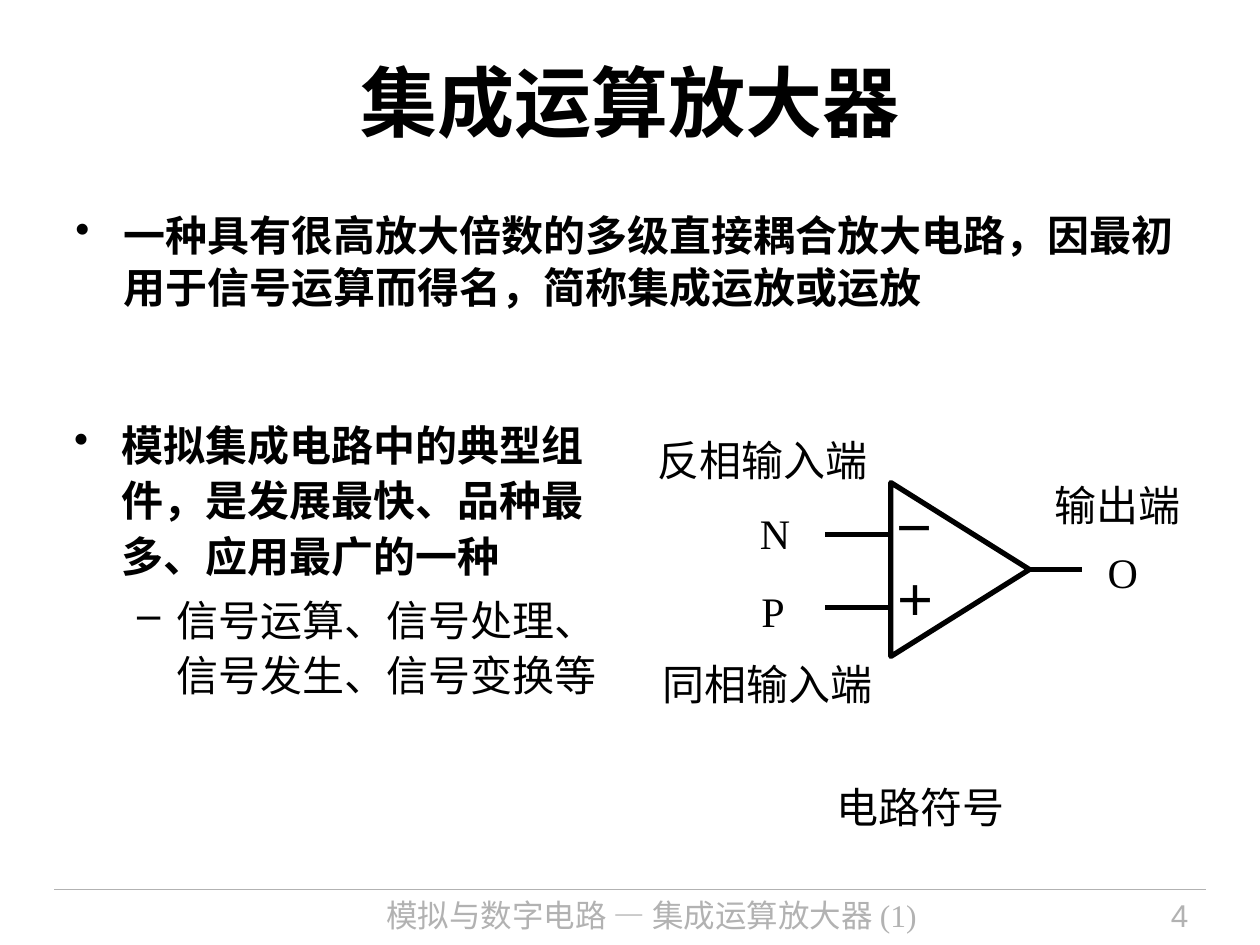
from dataclasses import dataclass

from lxml import etree
from pptx import Presentation
from pptx.dml.color import RGBColor
from pptx.enum.shapes import MSO_CONNECTOR, MSO_SHAPE
from pptx.enum.text import MSO_ANCHOR, PP_ALIGN
from pptx.oxml.ns import qn
from pptx.util import Inches, Pt

STRAIGHT = MSO_CONNECTOR.STRAIGHT
TRIANGLE = MSO_SHAPE.ISOSCELES_TRIANGLE
TOP, MIDDLE = MSO_ANCHOR.TOP, MSO_ANCHOR.MIDDLE
LEFT, CENTER, RIGHT = PP_ALIGN.LEFT, PP_ALIGN.CENTER, PP_ALIGN.RIGHT

SANS, SERIF = "Arial", "Times New Roman"
BLACK, GRAY = "000000", "B2B2B2"


@dataclass
class Label:
    text: str
    left: float
    top: float
    width: float
    height: float = 0.5
    font: str = SANS
    size: int = 24
    color: str = BLACK
    bold: bool = False
    align: PP_ALIGN = CENTER
    anchor: MSO_ANCHOR = TOP
    spacing: float = 1.0
    inset: bool = True
    wrap: bool = False


@dataclass
class Bullet:
    text: str
    mark: str
    margin: float
    hanging: float
    spacing: float
    bold: bool = True
    level: int = 0


@dataclass
class Wire:
    start: float
    end: float
    height: float
    color: str = BLACK
    weight: float = 3


LABELS = [
    Label("模拟与数字电路 — 集成运算放大器 (1)", 2.49, 7.06, 5.36, 0.44,
          SERIF, 18, GRAY, wrap=True),
    Label("4", 8.2, 7.06, 1.33, 0.44, SANS, 18, GRAY, align=RIGHT, wrap=True),
    Label("集成运算放大器", 0.5, 0.17, 9, 1.25, SERIF, 44, bold=True,
          anchor=MIDDLE, wrap=True),
    Label("电路符号", 6.54, 6.15, 1.53),
    Label("同相输入端", 5.16, 5.18, 1.87),
    Label("反相输入端", 5.12, 3.4, 1.87),
    Label("输出端", 8.27, 3.76, 1.2),
]
TERMINALS = [
    Label(text, left, top, width, 0.48, SERIF, spacing=1.2, inset=False)
    for text, left, top, width in (
        ("N", 6.03, 3.95, 0.24), ("P", 6.04, 4.57, 0.19), ("O", 8.79, 4.26, 0.24))
]
SIGNS = [
    Label(text, left, top, width, font=SERIF, bold=True, anchor=MIDDLE, inset=False)
    for text, left, top, width in (("＋", 6.86, 4.51, 0.81), ("－", 6.9, 3.94, 0.72))
]
WIRES = [
    Wire(0.43, 9.57, 7.06, GRAY, 0.75),
    Wire(6.55, 7.09, 4.24),
    Wire(6.55, 7.09, 4.82),
    Wire(8.17, 8.59, 4.52),
]
DEFINITION = [
    Bullet("一种具有很高放大倍数的多级直接耦合放大电路，因最初用于信号运算而得名，简称集成运放或运放",
           "•", 0.38, 0.38, 1.05),
]
FEATURES = [
    Bullet("模拟集成电路中的典型组件，是发展最快、品种最多、应用最广的一种",
           "•", 0.38, 0.38, 1.1),
    Bullet("信号运算、信号处理、信号发生、信号变换等",
           "–", 0.81, 0.31, 1.1, bold=False, level=1),
]


def rgb(value: str) -> RGBColor:
    return RGBColor.from_string(value)


def format_runs(para, font: str, size: int, color: str, bold: bool) -> None:
    for span in para.runs:
        span.font.name = font
        span.font.size = Pt(size)
        span.font.bold = bold
        span.font.color.rgb = rgb(color)


def add_box(page, left: float, top: float, width: float, height: float):
    return page.shapes.add_textbox(
        Inches(left), Inches(top), Inches(width), Inches(height))


def draw_label(page, label: Label) -> None:
    frame = add_box(page, label.left, label.top, label.width, label.height).text_frame
    frame.word_wrap = label.wrap
    frame.vertical_anchor = label.anchor
    if not label.inset:
        frame.margin_left = frame.margin_right = Inches(0)
        frame.margin_top = frame.margin_bottom = Inches(0)
    frame.text = label.text
    para = frame.paragraphs[0]
    para.alignment = label.align
    para.line_spacing = label.spacing
    format_runs(para, label.font, label.size, label.color, label.bold)


def draw_bullets(page, bullets: list[Bullet], left: float, top: float,
                 width: float, height: float) -> None:
    frame = add_box(page, left, top, width, height).text_frame
    frame.word_wrap = True
    frame.text = "\n".join(bullet.text for bullet in bullets)
    for para, bullet in zip(frame.paragraphs, bullets):
        properties = para._p.get_or_add_pPr()
        properties.set("marL", str(Inches(bullet.margin)))
        properties.set("indent", str(-Inches(bullet.hanging)))
        etree.SubElement(properties, qn("a:buChar")).set("char", bullet.mark)
        para.level = bullet.level
        para.alignment = LEFT
        para.line_spacing = bullet.spacing
        para.space_after = Pt(4.8)
        format_runs(para, SANS, 24, BLACK, bullet.bold)


def draw_wire(page, wire: Wire) -> None:
    line = page.shapes.add_connector(
        STRAIGHT, Inches(wire.start), Inches(wire.height),
        Inches(wire.end), Inches(wire.height))
    line.line.color.rgb = rgb(wire.color)
    line.line.width = Pt(wire.weight)
    etree.SubElement(line._element.spPr, qn("a:effectLst"))


def draw_amplifier(page) -> None:
    body = page.shapes.add_shape(
        TRIANGLE, Inches(6.93), Inches(3.97), Inches(1.38), Inches(1.1))
    body.rotation = 90
    body.shadow.inherit = False
    body.fill.background()
    body.line.color.rgb = rgb(BLACK)
    body.line.width = Pt(3)


def main() -> None:
    deck = Presentation()
    deck.slide_width, deck.slide_height = Inches(10), Inches(7.5)
    page = deck.slides.add_slide(deck.slide_layouts[6])
    for wire in WIRES:
        draw_wire(page, wire)
    draw_amplifier(page)
    for label in LABELS + TERMINALS + SIGNS:
        draw_label(page, label)
    draw_bullets(page, DEFINITION, 0.5, 1.59, 9, 1.65)
    draw_bullets(page, FEATURES, 0.49, 3.24, 4.53, 3.74)
    deck.save("out.pptx")


if __name__ == "__main__":
    main()
